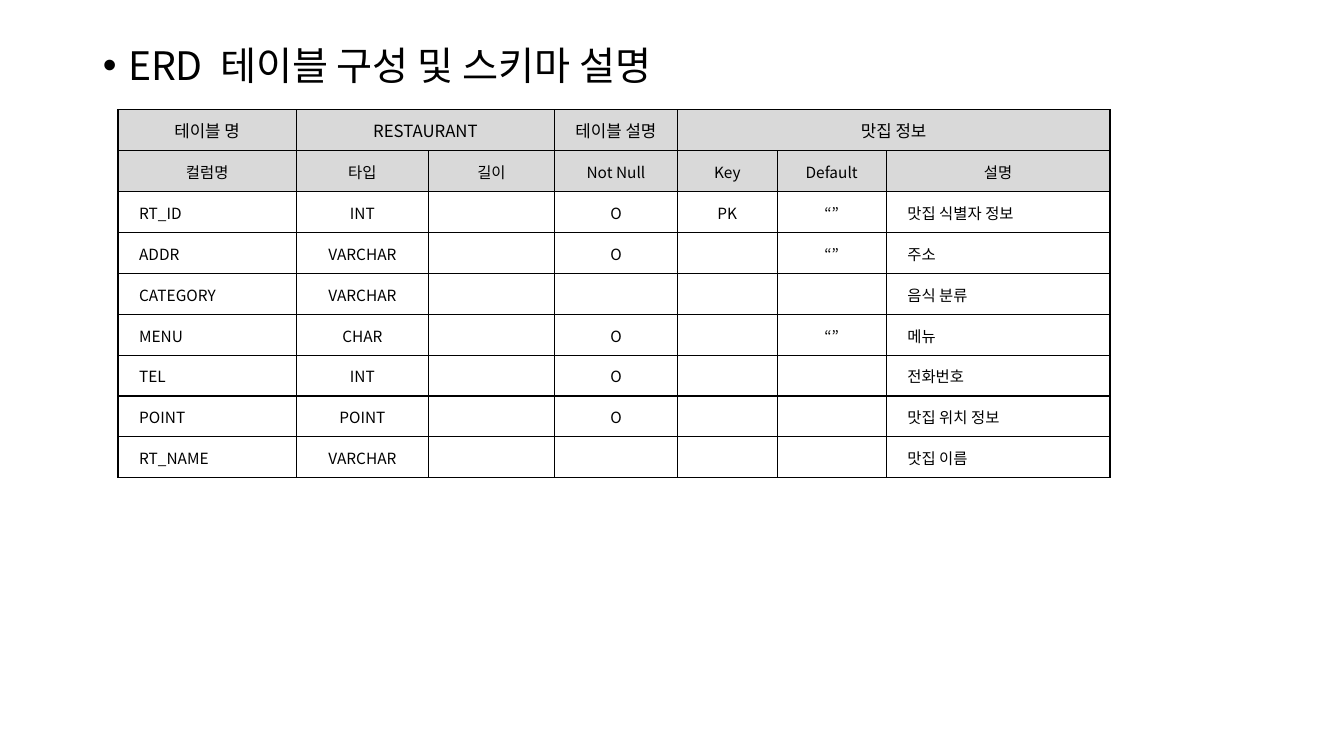
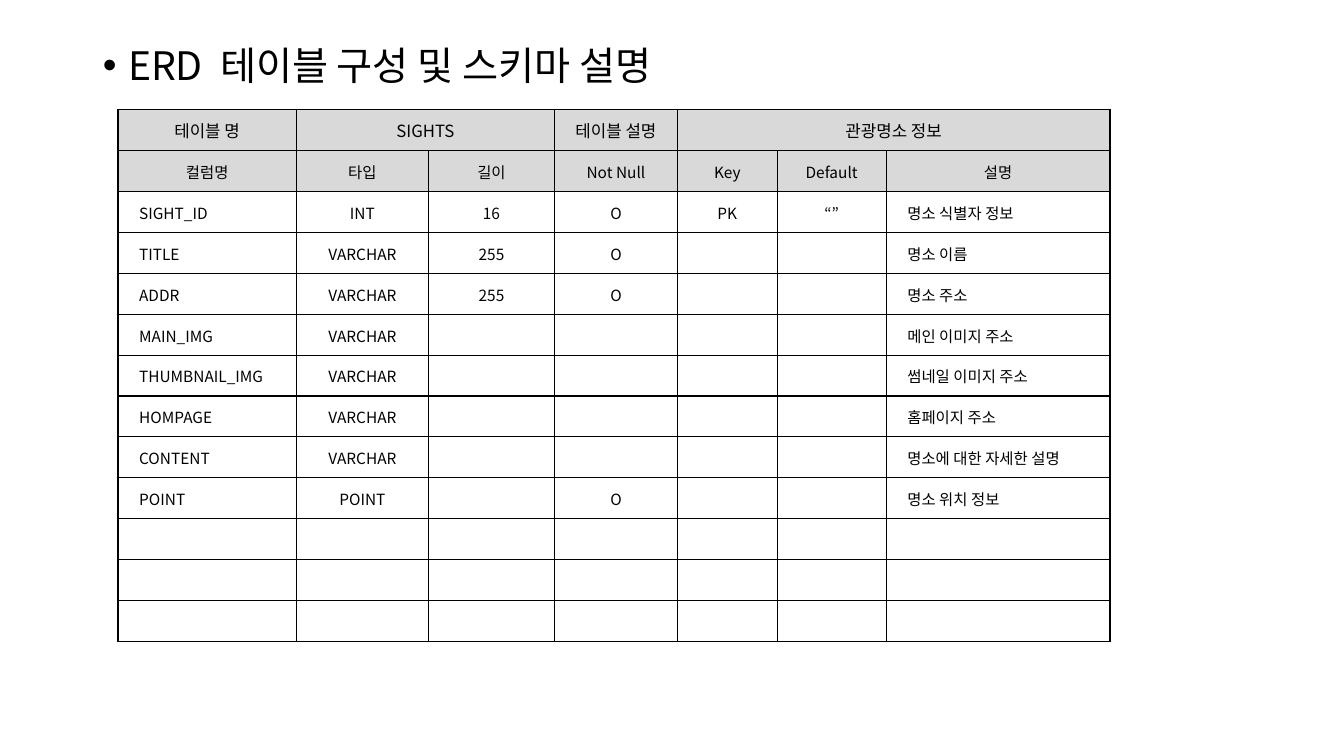
from dataclasses import dataclass

from lxml.etree import SubElement
from pptx import Presentation
from pptx.dml.color import RGBColor
from pptx.enum.text import MSO_ANCHOR, MSO_AUTO_SIZE, PP_ALIGN
from pptx.oxml.ns import qn
from pptx.util import Inches, Pt


@dataclass(frozen=True)
class Theme:
    font: str = "Noto Sans CJK KR"
    ink: RGBColor = RGBColor(0x00, 0x00, 0x00)
    header_fill: RGBColor = RGBColor(0xD9, 0xD9, 0xD9)
    title_size: Pt = Pt(28)
    header_size: Pt = Pt(12)
    cell_size: Pt = Pt(11)
    border: Pt = Pt(1)


THEME = Theme()
HEADING_BOX = (0.92, 0.41, 11.5, 4.76)
TABLE_ORIGIN = (1.17, 1.09)
COLUMN_WIDTHS = (1.77, 1.31, 1.25, 1.22, 0.99, 1.08, 2.22)
ROW_HEIGHT = Inches(3.65) // 9
LEFT_COLUMNS = (0, 6)
COLUMN_NAMES = ("컬럼명", "타입", "길이", "Not Null", "Key", "Default", "설명")
EMPTY_ROW = ("",) * len(COLUMN_NAMES)

RESTAURANT_ROWS = [
    ("RT_ID", "INT", "", "O", "PK", "“”", "맛집 식별자 정보"),
    ("ADDR", "VARCHAR", "", "O", "", "“”", "주소"),
    ("CATEGORY", "VARCHAR", "", "", "", "", "음식 분류"),
    ("MENU", "CHAR", "", "O", "", "“”", "메뉴"),
    ("TEL", "INT", "", "O", "", "", "전화번호"),
    ("POINT", "POINT", "", "O", "", "", "맛집 위치 정보"),
    ("RT_NAME", "VARCHAR", "", "", "", "", "맛집 이름"),
]
SIGHTS_ROWS = [
    ("SIGHT_ID", "INT", "16", "O", "PK", "“”", "명소 식별자 정보"),
    ("TITLE", "VARCHAR", "255", "O", "", "", "명소 이름"),
    ("ADDR", "VARCHAR", "255", "O", "", "", "명소 주소"),
    ("MAIN_IMG", "VARCHAR", "", "", "", "", "메인 이미지 주소"),
    ("THUMBNAIL_IMG", "VARCHAR", "", "", "", "", "썸네일 이미지 주소"),
    ("HOMPAGE", "VARCHAR", "", "", "", "", "홈페이지 주소"),
    ("CONTENT", "VARCHAR", "", "", "", "", "명소에 대한 자세한 설명"),
    ("POINT", "POINT", "", "O", "", "", "명소 위치 정보"),
] + [EMPTY_ROW] * 3


def add_run(paragraph, text, size):
    run = paragraph.add_run()
    run.text = text
    run.font.size = size
    run.font.name = THEME.font
    run.font.color.rgb = THEME.ink
    east_asian = SubElement(run.font._element, qn("a:ea"))
    east_asian.set("typeface", THEME.font)
    return run


def set_indent(paragraph, left, first_line=0):
    properties = paragraph._p.get_or_add_pPr()
    properties.set("marL", str(Inches(left)))
    properties.set("indent", str(Inches(first_line)))
    return properties


def add_heading(slide, box):
    body = slide.placeholders[1]
    body.left, body.top, body.width, body.height = map(Inches, box)
    frame = body.text_frame
    frame.auto_size = MSO_AUTO_SIZE.NONE
    paragraph = frame.paragraphs[0]
    paragraph.line_spacing = 0.9
    paragraph.space_before = Pt(10)
    properties = set_indent(paragraph, 0.25, -0.25)
    SubElement(properties, qn("a:buFont")).set("typeface", "Arial")
    SubElement(properties, qn("a:buChar")).set("char", "•")
    add_run(paragraph, "ERD", THEME.title_size)
    wide_space = add_run(paragraph, " ", THEME.title_size)
    wide_space.font._element.set("spc", "600")
    add_run(paragraph, "테이블 구성 및 스키마 설명", THEME.title_size)


def add_borders(cell):
    properties = cell._tc.get_or_add_tcPr()
    for side in ("a:lnL", "a:lnR", "a:lnT", "a:lnB"):
        line = SubElement(properties, qn(side), w=str(THEME.border))
        fill = SubElement(line, qn("a:solidFill"))
        SubElement(fill, qn("a:srgbClr"), val=str(THEME.ink))


def format_cell(cell, text, row, column):
    """Rows 0 and 1 are the shaded headers; only row 0 keeps default margins."""
    add_borders(cell)
    if row < 2:
        cell.fill.solid()
        cell.fill.fore_color.rgb = THEME.header_fill
    else:
        cell.fill.background()
    cell.vertical_anchor = MSO_ANCHOR.MIDDLE
    if row > 0:
        cell.margin_left = cell.margin_right = cell.margin_top = Inches(0.01)
        cell.margin_bottom = 0
    size = THEME.cell_size if row else THEME.header_size
    paragraph = cell.text_frame.paragraphs[0]
    if row > 1 and column in LEFT_COLUMNS:
        set_indent(paragraph, 0.2)
    else:
        paragraph.alignment = PP_ALIGN.CENTER
    if text:
        add_run(paragraph, text, size)
    else:
        end = SubElement(paragraph._p, qn("a:endParaRPr"))
        end.set("sz", str(int(size.pt * 100)))


def add_schema_table(slide, origin, name, description, rows):
    header = ("테이블 명", name, "", "테이블 설명", description, "", "")
    contents = [header, COLUMN_NAMES, *rows]
    left, top = map(Inches, origin)
    table = slide.shapes.add_table(
        len(contents), len(COLUMN_WIDTHS), left, top,
        Inches(sum(COLUMN_WIDTHS)), ROW_HEIGHT * len(contents),
    ).table
    table.first_row = table.horz_banding = False
    for column, width in zip(table.columns, COLUMN_WIDTHS):
        column.width = Inches(width)
    for row_index, texts in enumerate(contents):
        table.rows[row_index].height = ROW_HEIGHT
        for column_index, text in enumerate(texts):
            cell = table.cell(row_index, column_index)
            format_cell(cell, text, row_index, column_index)
    for first, last in ((1, 2), (4, 6)):
        table.cell(0, first).merge(table.cell(0, last))


def add_schema_slide(presentation, name, description, rows):
    slide = presentation.slides.add_slide(presentation.slide_layouts[1])
    title = slide.shapes.title._element
    title.getparent().remove(title)
    add_heading(slide, HEADING_BOX)
    add_schema_table(slide, TABLE_ORIGIN, name, description, rows)


def main():
    presentation = Presentation()
    presentation.slide_width = Inches(13.33)
    presentation.slide_height = Inches(7.5)
    add_schema_slide(presentation, "RESTAURANT", "맛집 정보", RESTAURANT_ROWS)
    add_schema_slide(presentation, "SIGHTS", "관광명소 정보", SIGHTS_ROWS)
    presentation.save("out.pptx")


if __name__ == "__main__":
    main()
